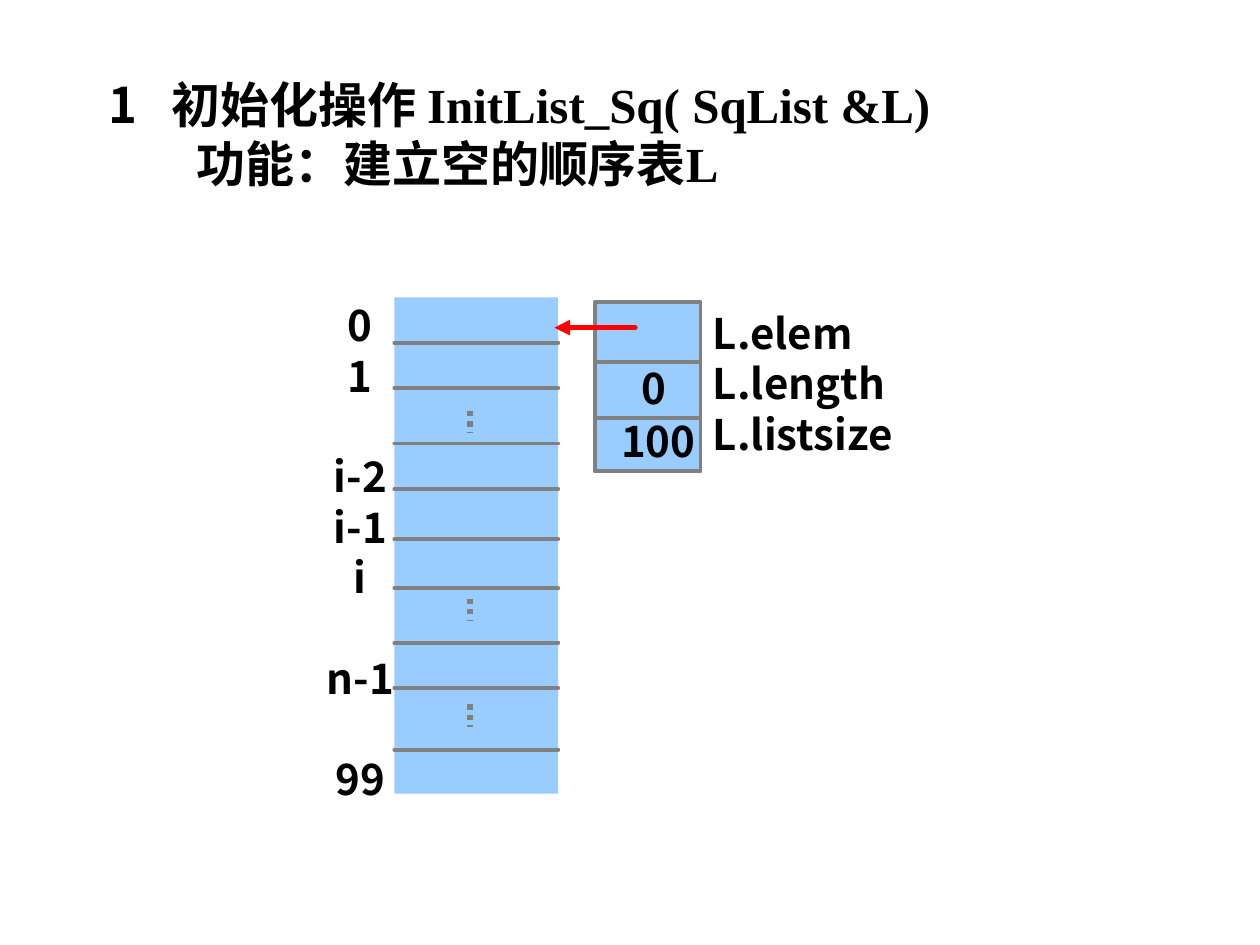
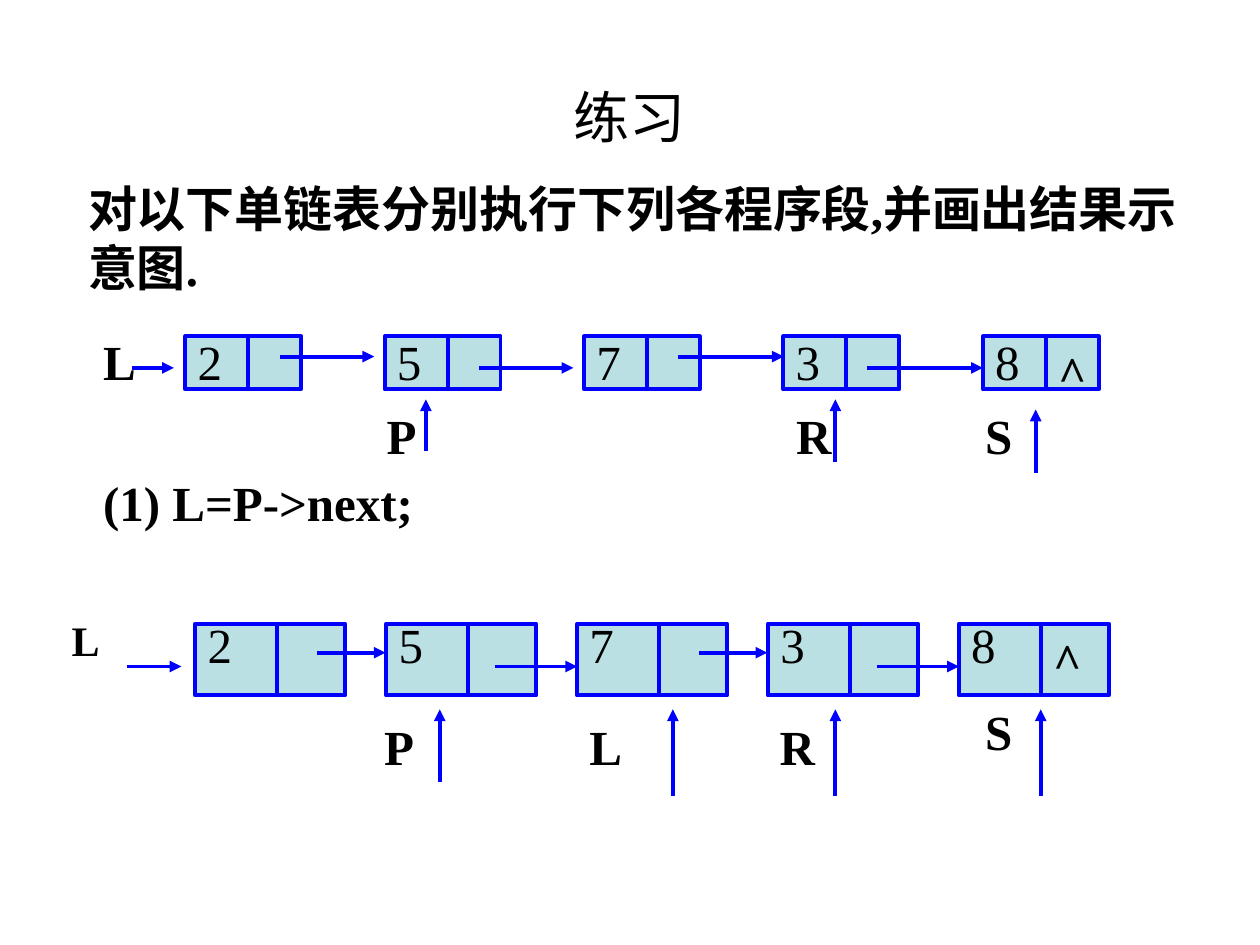
from lxml.etree import SubElement
from pptx import Presentation
from pptx.dml.color import RGBColor
from pptx.enum.dml import MSO_LINE
from pptx.enum.shapes import MSO_CONNECTOR, MSO_SHAPE
from pptx.enum.text import MSO_ANCHOR, MSO_AUTO_SIZE, PP_ALIGN
from pptx.oxml.ns import qn
from pptx.util import Inches, Pt

BLACK = RGBColor(0x00, 0x00, 0x00)
GREY = RGBColor(0x80, 0x80, 0x80)
RED = RGBColor(0xFF, 0x00, 0x00)
BLUE = RGBColor(0x00, 0x00, 0xFF)
MEMORY_FILL = RGBColor(0x99, 0xCC, 0xFF)
NODE_FILL = RGBColor(0xBB, 0xE0, 0xE3)
SANS = "Noto Sans CJK SC"
SERIF = "Times New Roman"
TITLE_ONLY = 5


class ListDiagram:
    """Draws list diagrams in one style on the current slide."""

    def __init__(self, deck):
        self.deck = deck
        self.page = None

    def new_page(self):
        self.page = self.deck.slides.add_slide(self.deck.slide_layouts[TITLE_ONLY])

    def add_span(self, para, text, size, font=SERIF, bold=True):
        span = para.add_run()
        span.text = text
        span.font.size = Pt(size)
        span.font.name = font
        span.font.bold = bold
        span.font.color.rgb = BLACK
        SubElement(span._r.get_or_add_rPr(), qn("a:ea"), typeface=SANS)

    def title(self, left, top, width, height, anchor):
        box = self.page.shapes.title
        box.left, box.top = Inches(left), Inches(top)
        box.width, box.height = Inches(width), Inches(height)
        box.text_frame.auto_size = MSO_AUTO_SIZE.NONE
        box.text_frame.vertical_anchor = anchor
        return box.text_frame

    def indent(self, para, margin, hanging=0, numbered=False):
        properties = para._p.get_or_add_pPr()
        properties.set("marL", str(Inches(margin)))
        properties.set("indent", str(-Inches(hanging)))
        if numbered:
            SubElement(properties, qn("a:buFont"), typeface=SANS)
            SubElement(properties, qn("a:buAutoNum"), type="arabicPlain")

    def text(self, left, top, width, height, lines, size=28, font=SERIF, bold=True,
             align=PP_ALIGN.LEFT, pitch=None, gaps=()):
        box = self.page.shapes.add_textbox(
            Inches(left), Inches(top), Inches(width), Inches(height))
        frame = box.text_frame
        frame.word_wrap = True
        for number, line in enumerate(lines):
            para = frame.add_paragraph() if number else frame.paragraphs[0]
            para.alignment = align
            if pitch:
                para.line_spacing = Pt(pitch)
            if line in gaps:
                para.space_before = Pt(pitch)
            self.add_span(para, line, size, font, bold)

    def code(self, left, top, width, height, lines, align=PP_ALIGN.CENTER, gaps=()):
        self.text(left, top, width, height, lines, 24, SANS, True, align, 28.8, gaps)

    def rectangle(self, left, top, width, height, fill, line=None):
        box = self.page.shapes.add_shape(
            MSO_SHAPE.RECTANGLE, Inches(left), Inches(top), Inches(width), Inches(height))
        box.shadow.inherit = False
        box.fill.solid()
        box.fill.fore_color.rgb = fill
        if line is None:
            box.line.fill.background()
        else:
            box.line.color.rgb = line
            box.line.width = Pt(2.25)

    def line(self, x1, y1, x2, y2, color, width=2.25, dash=None, arrow=False, rounded=False):
        connector = self.page.shapes.add_connector(
            MSO_CONNECTOR.STRAIGHT, Inches(x1), Inches(y1), Inches(x2), Inches(y2))
        connector.line.color.rgb = color
        connector.line.width = Pt(width)
        if dash:
            connector.line.dash_style = dash
        properties = connector.element.spPr
        outline = properties.find(qn("a:ln"))
        if rounded:
            outline.set("cap", "rnd")
        if arrow:
            SubElement(outline, qn("a:tailEnd"), type="triangle")
        SubElement(properties, qn("a:effectLst"))

    def arrow(self, x1, y1, x2, y2):
        self.line(x1, y1, x2, y2, BLUE, arrow=True)

    def chain(self, values, first, last, top, width, height, split, text_top):
        pitch = (last - first) / (len(values) - 1)
        for number, value in enumerate(values):
            left = first + number * pitch
            self.rectangle(left, top, width, height, NODE_FILL, BLUE)
            self.line(left + split, top, left + split, top + height, BLUE)
            self.text(left, text_top, split, 0.57, [value], bold=False)
        self.text(last + split, top, width - split, 0.57, ["^"])

    def links(self, ends, heights):
        for number, (start, end) in enumerate(ends):
            height = heights[number % 2]
            self.arrow(start, height, end, height)

    def pointers(self, labels, arrows):
        for name, left, top in labels:
            self.text(left, top, 0.6, 0.57, [name])
        for x, start, end in arrows:
            self.arrow(x, start, x, end)


def draw_initial_list(diagram):
    diagram.new_page()
    frame = diagram.title(0.76, 0.54, 8.91, 0.99, MSO_ANCHOR.TOP)
    heading, purpose = frame.paragraphs[0], frame.add_paragraph()
    for para in (heading, purpose):
        para.alignment = PP_ALIGN.LEFT
        para.line_spacing = Pt(33.6)
    diagram.indent(heading, 0.5, 0.5, numbered=True)
    diagram.indent(purpose, 0.7)
    diagram.add_span(heading, "初始化操作 InitList_Sq( SqList &L)", 28)
    diagram.add_span(purpose, "功能：建立空的顺序表L", 28)

    diagram.rectangle(3.13, 2.36, 1.3, 3.94, MEMORY_FILL)
    for y in (2.72, 3.08, 3.52, 3.88, 4.28, 4.67, 5.1, 5.46, 5.95):
        diagram.line(3.13, y, 4.43, y, GREY, rounded=True)
    for y in (3.26, 4.75, 5.59):
        diagram.line(3.73, y, 3.73, y + 0.18, GREY, 3, MSO_LINE.ROUND_DOT)
    diagram.code(2.23, 2.33, 1.26, 4.1, ["0", "1", "i-2", "i-1", "i", "n-1", "99"],
                 gaps=("i-2", "n-1", "99"))

    diagram.code(5.56, 2.39, 2.59, 1.3, ["L.elem", "L.length", "L.listsize"], PP_ALIGN.LEFT)
    diagram.rectangle(4.72, 2.4, 0.84, 1.34, MEMORY_FILL, GREY)
    for y in (2.87, 3.32):
        diagram.line(4.72, y, 5.56, y, GREY)
    diagram.code(4.77, 3.25, 0.91, 0.5, ["100"])
    diagram.code(4.73, 2.83, 0.92, 0.5, ["0"])
    diagram.line(5.04, 2.6, 4.4, 2.6, RED, 3, arrow=True, rounded=True)


def draw_exercise(diagram):
    diagram.new_page()
    frame = diagram.title(0.5, 0.3, 9, 1.25, MSO_ANCHOR.MIDDLE)
    frame.paragraphs[0].alignment = PP_ALIGN.CENTER
    diagram.add_span(frame.paragraphs[0], "练习", 32, "Arial", False)
    diagram.text(0.6, 1.37, 9.11, 1.04,
                 ["对以下单链表分别执行下列各程序段,并画出结果示意图."], pitch=33.6)
    values = ["2", "5", "7", "3", "8"]

    diagram.chain(values, 1.47, 7.8, 2.67, 0.92, 0.42, 0.5, 2.58)
    diagram.links([(2.22, 2.97), (3.8, 4.55), (5.38, 6.22), (6.88, 7.8)], (2.83, 2.92))
    diagram.arrow(1.05, 2.92, 1.38, 2.92)
    diagram.pointers(
        [("L", 0.72, 2.58), ("P", 2.97, 3.17), ("R", 6.22, 3.17), ("S", 7.72, 3.17)],
        [(3.38, 3.58, 3.17), (6.63, 3.67, 3.17), (8.22, 3.75, 3.25)])

    diagram.text(0.72, 3.7, 2.92, 0.57, ["(1) L=P->next;"])

    diagram.chain(values, 1.55, 7.61, 4.95, 1.19, 0.57, 0.65, 4.83)
    diagram.links([(2.52, 3.06), (3.93, 4.58), (5.55, 6.09), (6.96, 7.61)], (5.18, 5.29))
    diagram.arrow(1.01, 5.29, 1.44, 5.29)
    diagram.text(0.47, 4.83, 0.42, 0.5, ["L"], 24)
    diagram.pointers(
        [("P", 2.95, 5.64), ("L", 4.58, 5.64), ("R", 6.09, 5.64), ("S", 7.72, 5.52)],
        [(3.49, 6.21, 5.63), (5.34, 6.32, 5.63), (6.63, 6.32, 5.63), (8.26, 6.32, 5.63)])


def main():
    deck = Presentation()
    deck.slide_width, deck.slide_height = Inches(10), Inches(7.5)
    diagram = ListDiagram(deck)
    draw_initial_list(diagram)
    draw_exercise(diagram)
    deck.save("out.pptx")


if __name__ == "__main__":
    main()
